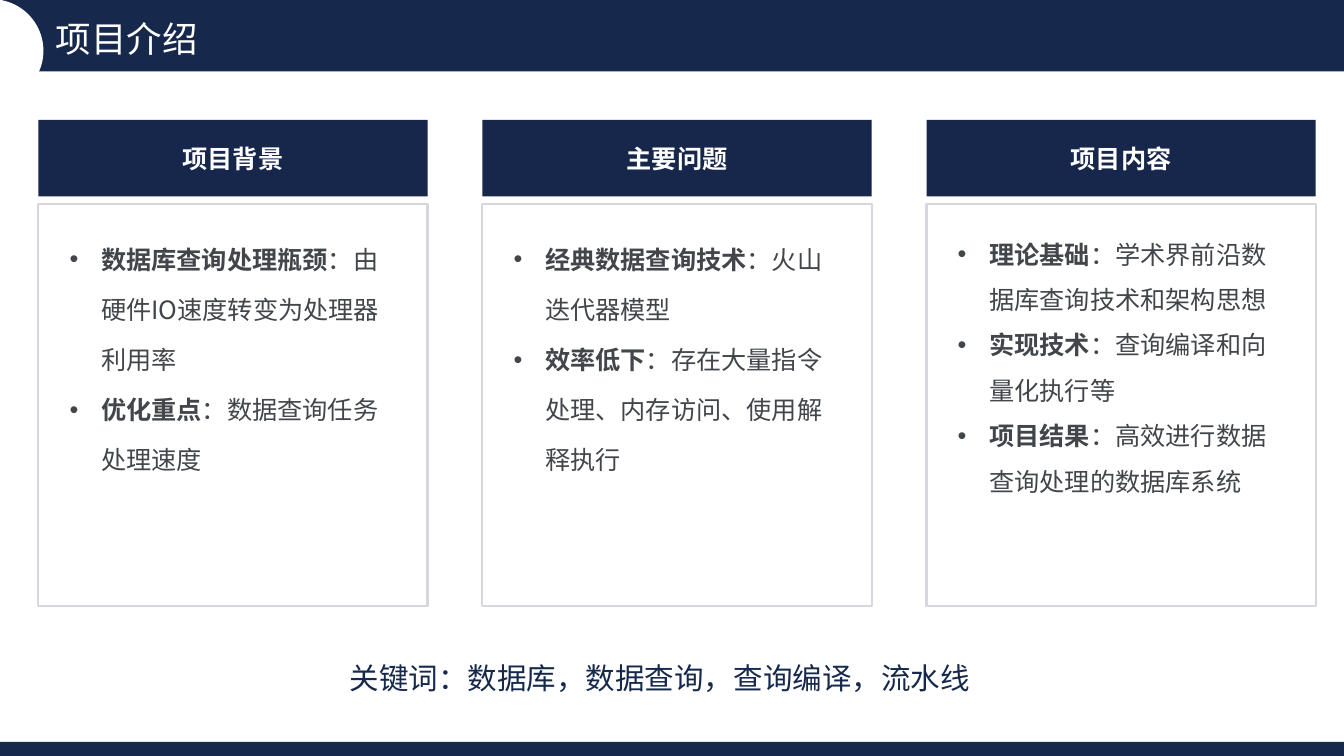
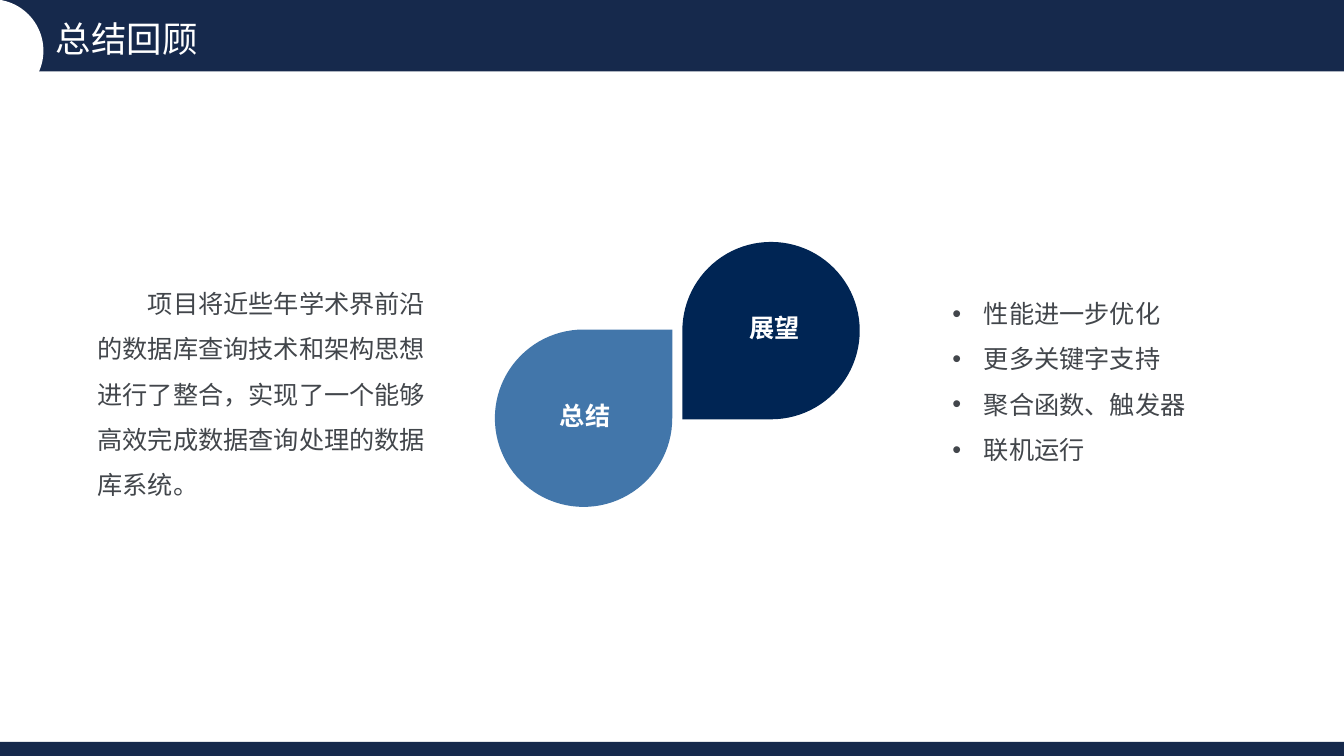
"""Build two slides: a project introduction and a closing summary."""
from dataclasses import dataclass

from lxml import etree
from pptx import Presentation
from pptx.dml.color import RGBColor
from pptx.enum.lang import MSO_LANGUAGE_ID
from pptx.enum.shapes import MSO_SHAPE
from pptx.enum.text import MSO_ANCHOR, MSO_AUTO_SIZE, PP_ALIGN
from pptx.oxml.ns import qn
from pptx.util import Pt

RECT, OVAL, TEAR = MSO_SHAPE.RECTANGLE, MSO_SHAPE.OVAL, MSO_SHAPE.TEAR
LEFT, CENTER = PP_ALIGN.LEFT, PP_ALIGN.CENTER
TOP, MIDDLE = MSO_ANCHOR.TOP, MSO_ANCHOR.MIDDLE
FIXED = MSO_AUTO_SIZE.NONE
CHINESE = MSO_LANGUAGE_ID.SIMPLIFIED_CHINESE


@dataclass(frozen=True)
class Theme:
    navy: str = "16294C"
    head: str = "17274C"
    deep: str = "002554"
    blue: str = "4276AA"
    white: str = "FFFFFF"
    edge: str = "D8D7DF"
    ink: str = "42464B"
    sans: str = "Noto Sans CJK SC"
    label: str = "Karla"
    title: float = 25.3
    key: float = 21.1
    body: float = 18


T = Theme()
WIDE, HIGH = 960, 540

INTRO = "项目介绍"
COLUMNS = [
    ("项目背景", 1.66, [
        ("数据库查询处理瓶颈", "：由硬件IO速度转变为处理器利用率"),
        ("优化重点", "：数据查询任务处理速度"),
    ]),
    ("主要问题", 1.66, [
        ("经典数据查询技术", "：火山迭代器模型"),
        ("效率低下", "：存在大量指令处理、内存访问、使用解释执行"),
    ]),
    ("项目内容", 1.5, [
        ("理论基础", "：学术界前沿数据库查询技术和架构思想"),
        ("实现技术", "：查询编译和向量化执行等"),
        ("项目结果", "：高效进行数据查询处理的数据库系统"),
    ]),
]
KEYWORDS = "关键词：数据库，数据查询，查询编译，流水线"

REVIEW = "总结回顾"
DROPS = [
    ("展望", T.deep, 180, (487.4, 172.8), (502.5, 209.5, 101, 49)),
    ("总结", T.blue, 0, (353.5, 235.4), (365, 272.2, 106, 49)),
]
SUMMARY = ("项目将近些年学术界前沿的数据库查询技术和架构思想进行了整合，"
           "实现了一个能够高效完成数据查询处理的数据库系统。")
PLANS = ["性能进一步优化", "更多关键字支持", "聚合函数、触发器", "联机运行"]

COL_LEFT, COL_WIDE, COL_GAP = 27.4, 278, 39.2
HEAD_TOP, HEAD_HIGH = 85.7, 54.7
PANEL_TOP, PANEL_HIGH = 145.6, 287.2
DROP = 126.7
HANG = 22.5


def color(code):
    return RGBColor.from_string(code)


def write(shape, paras, *, size=T.body, tint=T.ink, font=T.sans, bold=False,
          align=LEFT, anchor=TOP, space=1.0, bullet=False, indent=0,
          inset=(7.2, 3.6, 7.2, 3.6)):
    """Fill a shape with paragraphs; a tuple is a bold lead and a plain rest."""
    frame = shape.text_frame
    frame.word_wrap, frame.auto_size = True, FIXED
    frame.vertical_anchor = anchor
    (frame.margin_left, frame.margin_top,
     frame.margin_right, frame.margin_bottom) = map(Pt, inset)
    for i, item in enumerate(paras):
        para = frame.add_paragraph() if i else frame.paragraphs[0]
        para.alignment, para.line_spacing = align, space
        props = para._p.get_or_add_pPr()
        if bullet:
            props.set("marL", str(Pt(HANG)))
            props.set("indent", str(-Pt(HANG)))
            etree.SubElement(props, qn("a:buFont")).set("typeface", "Arial")
            etree.SubElement(props, qn("a:buChar")).set("char", "•")
        elif indent:
            props.set("indent", str(Pt(indent)))
        parts = (zip(item, (True, False)) if isinstance(item, tuple)
                 else [(item, bold)])
        for words, strong in parts:
            run = para.add_run()
            run.text = words
            face = run.font
            face.size, face.bold, face.name = Pt(size), strong, font
            face.color.rgb = color(tint)
            face.language_id = CHINESE
            east = etree.SubElement(run._r.get_or_add_rPr(), qn("a:ea"))
            east.set("typeface", T.sans)


def draw(slide, kind, box, fill=None, line=None):
    shape = slide.shapes.add_shape(kind, *map(Pt, box))
    shape.shadow.inherit = False
    if fill:
        shape.fill.solid()
        shape.fill.fore_color.rgb = color(fill)
    else:
        shape.fill.background()
    if line:
        shape.line.color.rgb = color(line)
        shape.line.width = Pt(1.5)
    else:
        shape.line.fill.background()
    return shape


def note(slide, box, paras, **form):
    write(slide.shapes.add_textbox(*map(Pt, box)), paras, **form)


def start(deck, name):
    """Add a slide with the shared bands and title."""
    slide = deck.slides.add_slide(deck.slide_layouts[5])
    draw(slide, RECT, (0, 0, WIDE, 51), T.navy)
    draw(slide, OVAL, (-42.5, -0.5, 73.5, 73.5), T.white)
    draw(slide, RECT, (0, 530, WIDE, HIGH - 530), T.navy)
    title = slide.shapes.title
    title.left, title.top, title.width, title.height = map(
        Pt, (40, 8.6, 325, 33))
    write(title, [name], size=T.title, tint=T.white, anchor=MIDDLE,
          space=1.16, inset=(0, 0, 0, 0))
    title.element.getparent().append(title.element)
    return slide


def intro(deck):
    slide = start(deck, INTRO)
    for i, (head, space, points) in enumerate(COLUMNS):
        x = COL_LEFT + i * (COL_WIDE + COL_GAP)
        panel = draw(slide, RECT, (x, PANEL_TOP, COL_WIDE, PANEL_HIGH),
                     line=T.edge)
        write(panel, points, space=space, bullet=True,
              inset=(22.3, 14.4, 22.3, 3.6))
        band = draw(slide, RECT, (x, HEAD_TOP, COL_WIDE, HEAD_HIGH), T.head)
        write(band, [head], tint=T.white, font=T.label, bold=True,
              align=CENTER, anchor=MIDDLE)
    note(slide, (249.8, 467.3, 460, 29), [KEYWORDS], size=T.key,
         tint=T.navy, anchor=MIDDLE, space=1.16, inset=(0, 0, 0, 0))


def review(deck):
    slide = start(deck, REVIEW)
    for name, fill, turn, spot, box in DROPS:
        draw(slide, TEAR, (*spot, DROP, DROP), fill).rotation = turn
        note(slide, box, [name], tint=T.white, font=T.label, bold=True,
             align=CENTER, anchor=MIDDLE)
    note(slide, (62.6, 191.5, 252, 216), [SUMMARY], space=1.5,
         indent=2 * T.body)
    note(slide, (673.2, 198.7, 219, 167), PLANS, space=1.5, bullet=True)


def main():
    deck = Presentation()
    deck.slide_width, deck.slide_height = Pt(WIDE), Pt(HIGH)
    intro(deck)
    review(deck)
    deck.save("out.pptx")


if __name__ == "__main__":
    main()
